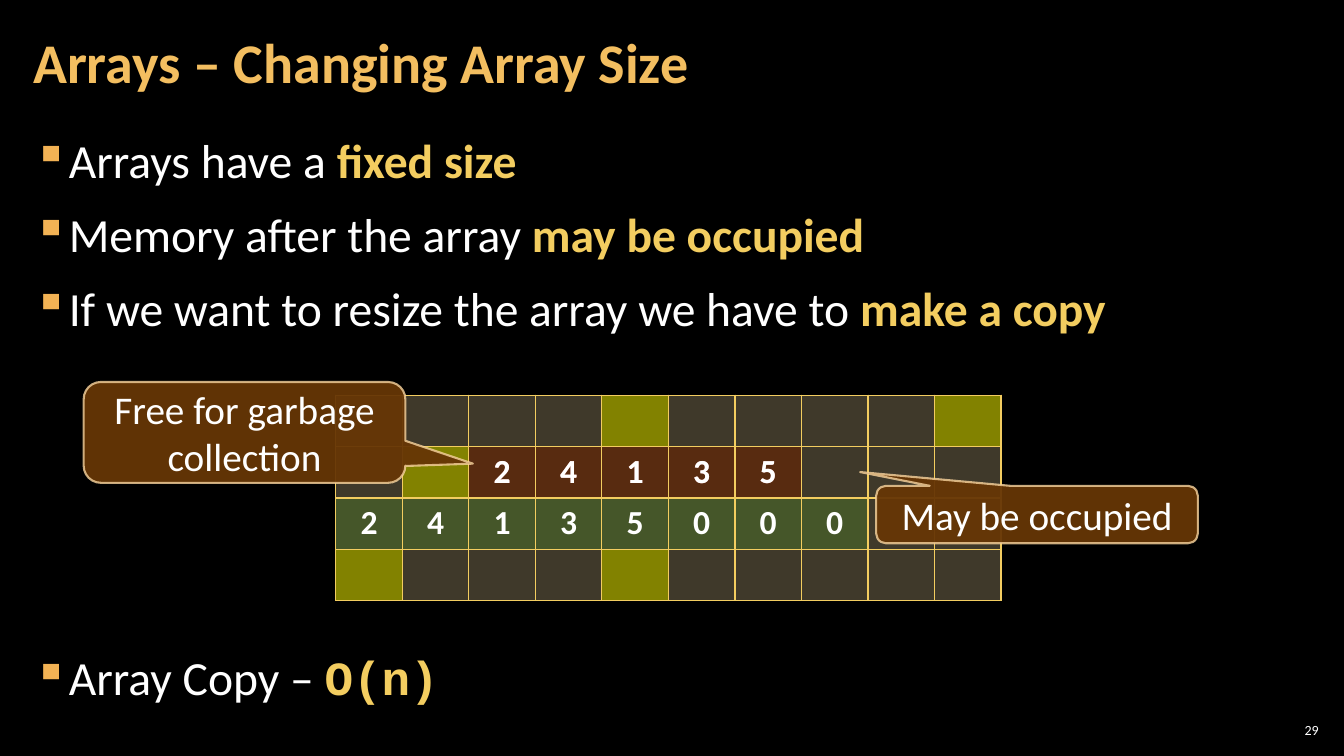
from lxml.etree import SubElement
from pptx import Presentation
from pptx.dml.color import RGBColor as Color
from pptx.enum.shapes import MSO_SHAPE as Shape
from pptx.enum.text import MSO_ANCHOR as Anchor, PP_ALIGN as Align
from pptx.oxml import parse_xml
from pptx.oxml.ns import nsdecls, qn
from pptx.util import Inches, Pt

TITLE = "Arrays – Changing Array Size"
PAGE_NUMBER = "29"
BULLETS = [
    ("Arrays have a ", "fixed size", "Calibri", 6),
    ("Memory after the array ", "may be occupied", "Calibri", 6),
    ("If we want to resize the array we have to ", "make a copy", "Calibri", 6),
    ("Array Copy – ", "O(n)", "Courier New", 217),
]
ROWS, COLUMNS = 4, 10
OCCUPIED = {(0, 4), (0, 9), (1, 1), (3, 0), (3, 4)}
MEMORY_STATES = [
    [("live", 1, 2, "24135")],
    [("freed", 1, 2, "24135"), ("live", 2, 0, "24135000")],
]
CALLOUTS = [
    ("Free for garbage collection", (0.83, 3.79, 3.19, 1), (0.71, 0.31, 0.17)),
    ("May be occupied", (8.69, 4.82, 3.19, 0.57), (-0.55, -0.74, 0.17)),
]
THEME = {
    "font": "Calibri",
    "background": "000000", "text": "FFFFFF", "title": "F3BE60",
    "accent": "F3CD60", "bullet": "F2B254",
    "callout": "663606", "callout_line": "F8D49E",
    "empty": "7C7154", "occupied": "FFFF00", "live": "92D050", "freed": "C00000",
    "title_size": 40, "body_size": 34, "callout_size": 28,
    "cell_size": 24, "number_size": 10,
}


def rgb(name):
    return Color.from_string(THEME[name])


def style(span, size, color="text", bold=False, font=THEME["font"]):
    span.font.name = font
    span.font.size = Pt(THEME[size])
    span.font.bold = bold
    span.font.color.rgb = rgb(color)


def set_opacity(element, percent):
    for color in element.iter(qn("a:srgbClr")):
        SubElement(color, qn("a:alpha"), val=str(percent * 1000))


def add_box(page, place, side_inset, anchor):
    box = page.shapes.add_textbox(*map(Inches, place))
    frame = box.text_frame
    frame.word_wrap = True
    frame.vertical_anchor = anchor
    frame.margin_left = frame.margin_right = Inches(side_inset)
    frame.margin_top = frame.margin_bottom = Inches(0.04)
    return frame


def add_title(page):
    para = add_box(page, (0.21, 0.04, 10.47, 1.21), 0.12, Anchor.MIDDLE).paragraphs[0]
    para.text = TITLE
    para.line_spacing = 0.9
    style(para.runs[0], "title_size", "title", True)


def add_page_number(page):
    para = add_box(page, (12.65, 7.14, 0.47, 0.21), 0.04, Anchor.MIDDLE).paragraphs[0]
    para.text = PAGE_NUMBER
    para.alignment = Align.RIGHT
    style(para.runs[0], "number_size")


def add_bullets(page):
    frame = add_box(page, (0.21, 1.26, 12.91, 6.09), 0.12, Anchor.TOP)
    for index, (plain, strong, font, gap) in enumerate(BULLETS):
        para = frame.add_paragraph() if index else frame.paragraphs[0]
        para.space_before, para.space_after = Pt(gap), Pt(6)
        for text in (plain, strong):
            para.add_run().text = text
        style(para.runs[0], "body_size")
        style(para.runs[1], "body_size", "accent", True, font)
        properties = para._p.get_or_add_pPr()
        properties.set("marL", str(Inches(0.33)))
        properties.set("indent", str(-Inches(0.33)))
        bullet_color = SubElement(properties, qn("a:buClr"))
        SubElement(bullet_color, qn("a:srgbClr"), val=THEME["bullet"])
        SubElement(properties, qn("a:buChar"), char="▪")


def format_cell(cell, kind, text):
    cell.fill.solid()
    cell.fill.fore_color.rgb = rgb(kind)
    properties = cell._tc.get_or_add_tcPr()
    set_opacity(properties, 30)
    for index, side in enumerate(("lnL", "lnR", "lnT", "lnB")):
        properties.insert(index, parse_xml(
            f'<a:{side} {nsdecls("a")} w="{Pt(1)}"><a:solidFill>'
            f'<a:srgbClr val="{THEME["accent"]}"/></a:solidFill></a:{side}>'))
    if text:
        para = cell.text_frame.paragraphs[0]
        para.text = text
        para.alignment = Align.CENTER
        style(para.runs[0], "cell_size", bold=True)


def add_memory(page, arrays):
    cells = {place: ("occupied", "") for place in OCCUPIED}
    for kind, row, start, values in arrays:
        for offset, value in enumerate(values):
            cells[row, start + offset] = (kind, value)
    place = map(Inches, (3.33, 3.92, 0.66 * COLUMNS, 0.51 * ROWS))
    table = page.shapes.add_table(ROWS, COLUMNS, *place).table
    table.first_row = table.horz_banding = False
    for row in range(ROWS):
        for column in range(COLUMNS):
            kind, text = cells.get((row, column), ("empty", ""))
            format_cell(table.cell(row, column), kind, text)


def add_callout(page, text, place, adjustments):
    callout = page.shapes.add_shape(Shape.ROUNDED_RECTANGULAR_CALLOUT, *map(Inches, place))
    callout.shadow.inherit = False
    for index, value in enumerate(adjustments):
        callout.adjustments[index] = value
    callout.fill.solid()
    callout.fill.fore_color.rgb = rgb("callout")
    set_opacity(callout.fill._xPr.find(qn("a:solidFill")), 95)
    callout.line.width = Pt(1.5)
    callout.line.color.rgb = rgb("callout_line")
    set_opacity(callout.line._ln, 80)
    frame = callout.text_frame
    frame.word_wrap = True
    frame.vertical_anchor = Anchor.MIDDLE
    para = frame.paragraphs[0]
    para.text = text
    para.alignment = Align.CENTER
    style(para.runs[0], "callout_size")


def main():
    deck = Presentation()
    deck.slide_width, deck.slide_height = Inches(13.33), Inches(7.5)
    page = deck.slides.add_slide(deck.slide_layouts[6])
    page.background.fill.solid()
    page.background.fill.fore_color.rgb = rgb("background")
    add_page_number(page)
    add_bullets(page)
    add_title(page)
    for arrays in MEMORY_STATES:
        add_memory(page, arrays)
    for callout in CALLOUTS:
        add_callout(page, *callout)
    deck.save("out.pptx")


if __name__ == "__main__":
    main()
